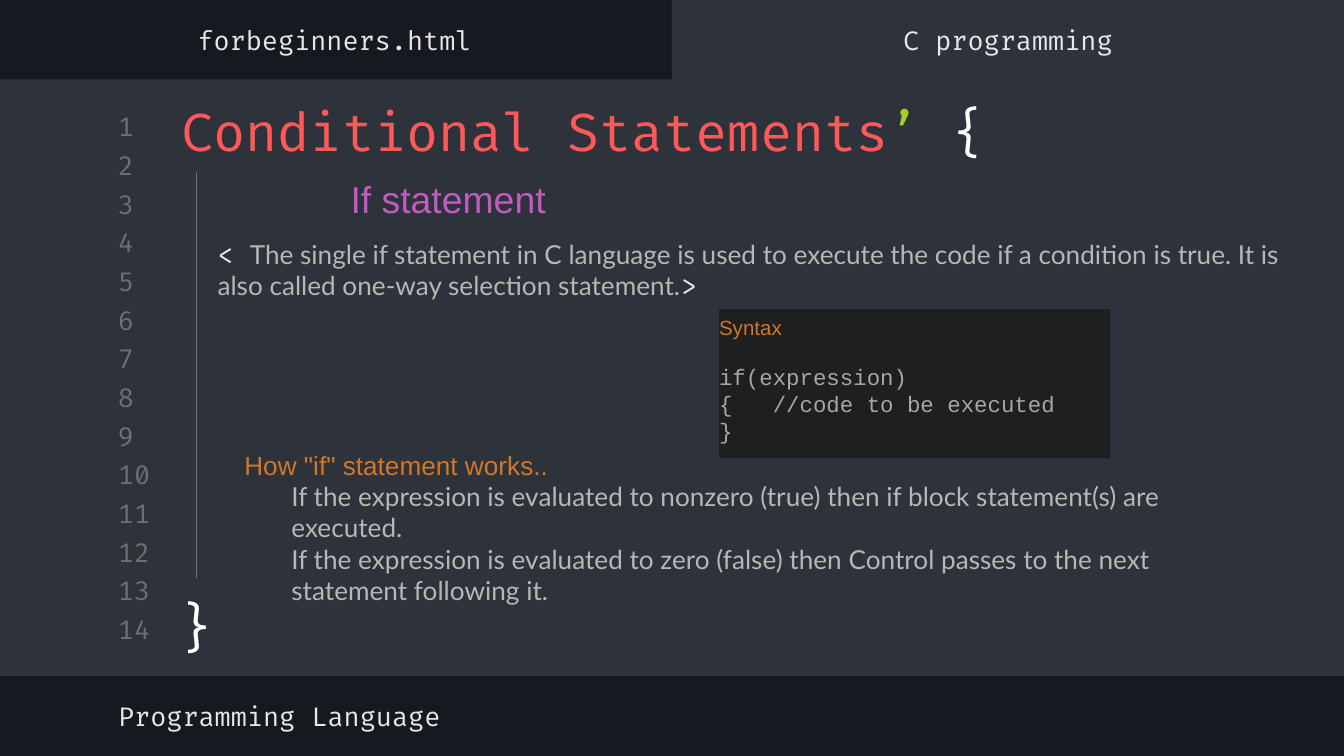
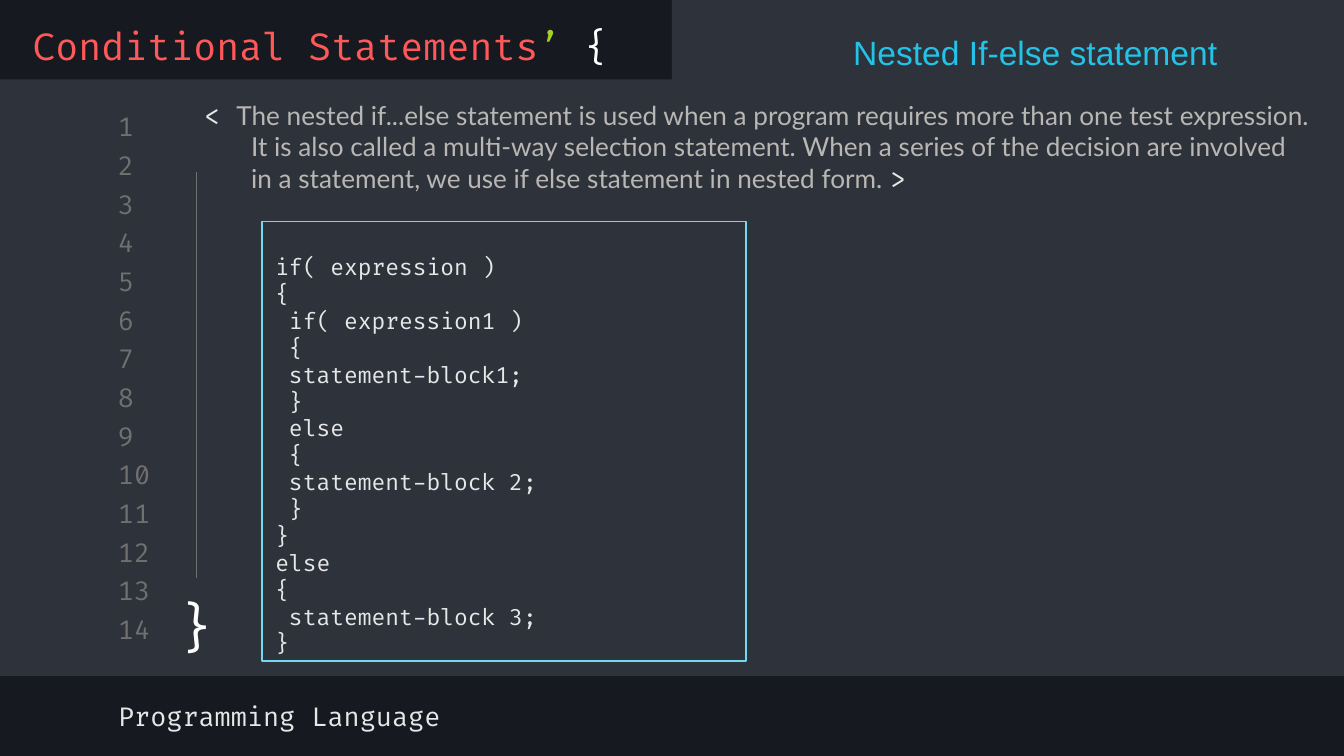
from dataclasses import dataclass

from lxml import etree
from pptx import Presentation
from pptx.dml.color import RGBColor
from pptx.enum.shapes import MSO_CONNECTOR, MSO_SHAPE
from pptx.enum.text import MSO_ANCHOR, MSO_AUTO_SIZE, PP_ALIGN
from pptx.oxml.ns import qn
from pptx.util import Inches, Pt

RECT = MSO_SHAPE.RECTANGLE
LINE = MSO_CONNECTOR.STRAIGHT
TOP, MID = MSO_ANCHOR.TOP, MSO_ANCHOR.MIDDLE
LEFT, CENTER, JUST = PP_ALIGN.LEFT, PP_ALIGN.CENTER, PP_ALIGN.JUSTIFY
NOFIT = MSO_AUTO_SIZE.NONE

DARK, PANEL, CODE = "16191F", "2E323B", "1D1F20"
GRAY, PALE, SAND, WHITE = "707070", "E7E7E7", "B9B7B3", "FFFFFF"
RED, LIME, PINK, RUST = "FF5858", "A5CF27", "C15BC1", "D17729"
BLUE, SKY, ASH = "22C3E7", "72D9F0", "AAA6A0"
FIRA, LATO, ARIAL, MONO = "Fira Code", "Lato", "Arial", "Courier New"
ROWS = 14
PITCH = 3.74 / (ROWS - 1)


@dataclass
class Run:
    text: str
    color: str = PALE
    size: float = 14
    font: str = FIRA


@dataclass
class Para:
    runs: list[Run]
    align: PP_ALIGN = LEFT
    margin: float = 0
    indent: float = 0
    before: float = 0


@dataclass
class Box:
    at: tuple[float, float, float, float]
    paras: list[Para]
    anchor: MSO_ANCHOR = MID
    pad: tuple[float, float, float, float] = (0.1, 0.1, 0.1, 0.1)
    fill: str = ""
    line: str = ""


def paint(color: str) -> RGBColor:
    return RGBColor.from_string(color)


def place(shape, at: tuple[float, float, float, float]) -> None:
    shape.left, shape.top, shape.width, shape.height = map(Inches, at)


def write(shape, box: Box) -> None:
    frame = shape.text_frame
    frame.word_wrap = True
    frame.auto_size = NOFIT
    frame.vertical_anchor = box.anchor
    (frame.margin_left, frame.margin_top,
     frame.margin_right, frame.margin_bottom) = map(Inches, box.pad)
    for i, para in enumerate(box.paras):
        item = frame.add_paragraph() if i else frame.paragraphs[0]
        item.alignment = para.align
        item.line_spacing = 1.0
        item.space_before = Pt(para.before)
        props = item._p.get_or_add_pPr()
        props.set("marL", str(Inches(para.margin)))
        props.set("indent", str(Inches(para.indent)))
        for run in para.runs:
            part = item.add_run()
            part.text = run.text
            part.font.name = run.font
            part.font.size = Pt(run.size)
            part.font.color.rgb = paint(run.color)


def draw(slide, box: Box) -> None:
    sides = map(Inches, box.at)
    if not (box.fill or box.line):
        write(slide.shapes.add_textbox(*sides), box)
        return
    shape = slide.shapes.add_shape(RECT, *sides)
    shape.shadow.inherit = False
    if box.fill:
        shape.fill.solid()
        shape.fill.fore_color.rgb = paint(box.fill)
    else:
        shape.fill.background()
    if box.line:
        shape.line.color.rgb = paint(box.line)
        shape.line.width = Pt(0.75)
    else:
        shape.line.fill.background()
    if box.paras:
        write(shape, box)


def label(text: str, align: PP_ALIGN = LEFT, color: str = PALE,
          size: float = 14) -> list[Para]:
    return [Para([Run(text, color, size)], align)]


def head(text: str, color: str, size: float) -> Para:
    return Para([Run(text, color, size, ARIAL)], JUST, 0.5, -0.35)


def prose(text: str) -> Run:
    return Run(text, SAND, font=LATO)


def rule(slide, x: float, top: float, end: float) -> None:
    line = slide.shapes.add_connector(
        LINE, Inches(x), Inches(top), Inches(x), Inches(end))
    line.line.color.rgb = paint(GRAY)
    line.line.width = Pt(0.75)
    etree.SubElement(line._element.spPr, qn("a:effectLst"))


def page(deck, at: tuple[float, float, float, float], size: float,
         boxes: list[Box]) -> None:
    slide = deck.slides.add_slide(deck.slide_layouts[5])
    slide.background.fill.solid()
    slide.background.fill.fore_color.rgb = paint(DARK)
    for band in ((0, 0.59, 10, 4.44), (5, 0, 5, 0.69)):
        draw(slide, Box(band, [], fill=PANEL))
    for i in range(ROWS):
        draw(slide, Box((0.78, 0.82 + i * PITCH, 0.47, 0.24),
                        label(str(i + 1), color=GRAY)))
    for box in boxes:
        draw(slide, box)
    title = slide.shapes.title
    title.element.getparent().append(title.element)
    place(title, at)
    write(title, Box(at, [Para([Run("Conditional Statements", RED, size),
                                Run("’ ", LIME, size),
                                Run("{", WHITE, size)])], TOP))
    draw(slide, Box((1.19, 4.32, 0.55, 0.67),
                    label("}", CENTER, WHITE, 28), TOP))
    rule(slide, 1.46, 1.28, 4.3)
    draw(slide, Box((0.78, 5.13, 5.32, 0.39), label("Programming Language")))


LOW = (0.1, 0.1, 0.1, 0.32)

SINGLE = [
    Box((1.52, 1.85, 8.22, 0.53), [Para([
        Run("< "),
        prose("The single if statement in C language is used to execute the "
              "code if a condition is true. It is also called one-way "
              "selection statement."),
        Run(">")])], pad=LOW),
    Box((2.36, 1.29, 3.42, 0.37), [head("If statement", PINK, 20)]),
    Box((1.57, 3.07, 7.5, 1.93), [
        head('How "if" statement works..', RUST, 14),
        Para([prose("If the expression is evaluated to nonzero (true) then "
                    "if block statement(s) are executed.")], margin=0.5),
        Para([prose("If the expression is evaluated to zero (false) then "
                    "Control passes to the next statement following it.")],
             margin=0.5)], pad=LOW),
    Box((-0.01, 0.1, 5, 0.39), label("forbeginners.html", CENTER)),
    Box((5, 0.1, 5, 0.39), label("C programming", CENTER)),
    Box((5.35, 2.3, 2.91, 1.11), [
        Para([Run("Syntax", RUST, 11, ARIAL)], JUST),
        *(Para([Run(text, ASH, 12, MONO)], JUST, before=gap)
          for text, gap in (("if(expression) ", 12.5),
                            ("{   //code to be executed ", 0), ("} ", 0)))],
        pad=(0, 0.04, 0, 0.1), fill=CODE),
]

NESTED = """if( expression )
{
 if( expression1 )
 {
 statement-block1;
 }
 else
 {
 statement-block 2;
 }
}
else
{
 statement-block 3;
}""".split("\n")

MULTI = [
    Box((1.27, 0.75, 8.59, 0.9), [Para([
        Run("< "),
        prose("The nested if...else statement is used when a program "
              "requires more than one test expression. It is also called a "
              "multi-way selection statement. When a series of the decision "
              "are involved in a statement, we use if else statement in "
              "nested form. "),
        Run(">")], margin=0.5, indent=-0.35)], pad=LOW),
    Box((6.1, 0.2, 3.42, 0.37), [head("Nested If-else statement", BLUE, 18)]),
    Box((1.95, 1.65, 3.6, 3.27),
        [Para([Run(text, size=12)]) for text in NESTED],
        pad=(0.1, 0.3, 0.1, 0.1), line=SKY),
]


def main() -> None:
    deck = Presentation()
    deck.slide_width = Inches(10)
    deck.slide_height = Inches(10 * 9 / 16)
    page(deck, (1.25, 0.64, 7.97, 0.59), 28, SINGLE)
    page(deck, (0.14, 0.07, 4.86, 0.5), 20, MULTI)
    deck.save("out.pptx")


if __name__ == "__main__":
    main()
